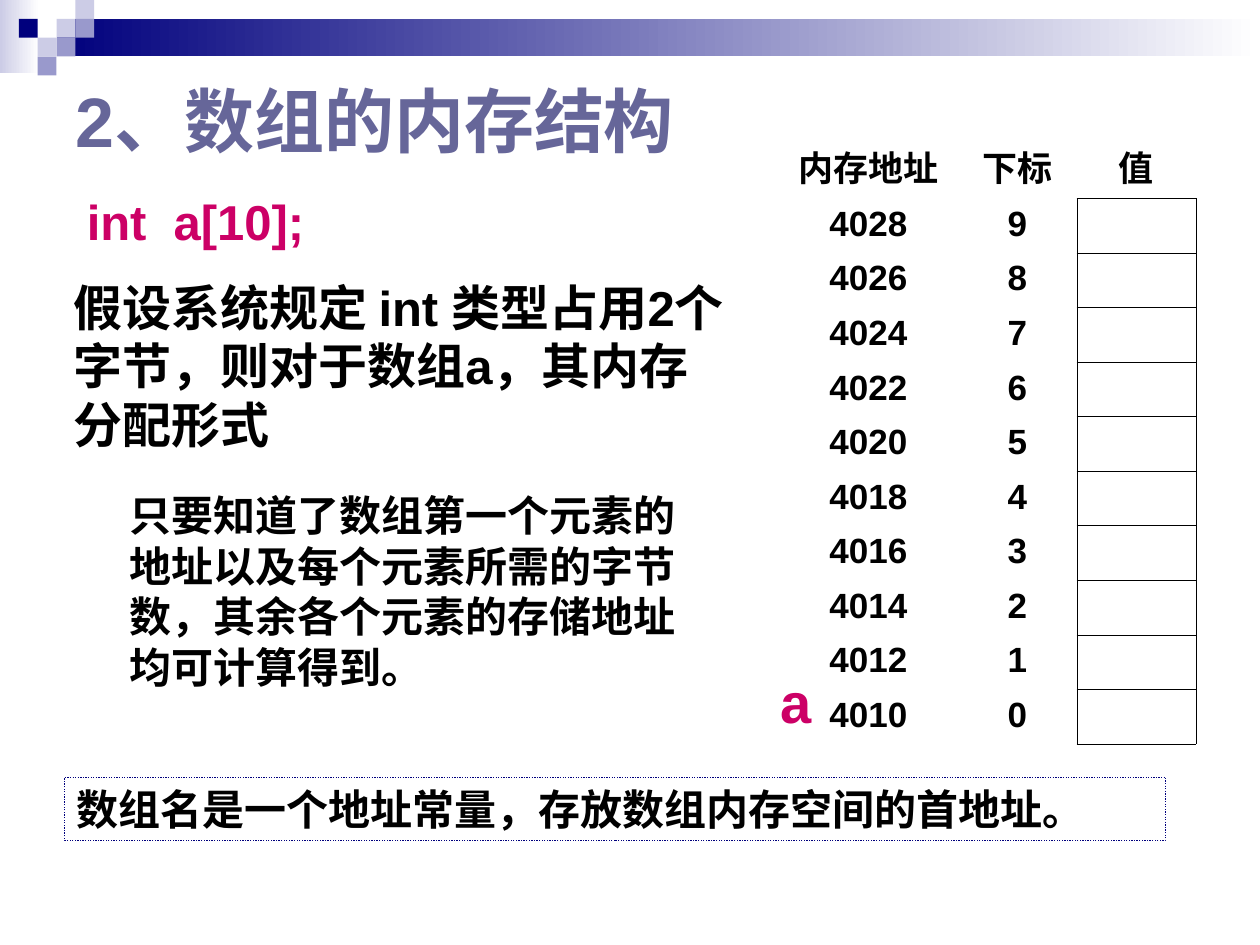
from lxml.etree import SubElement
from pptx import Presentation
from pptx.dml.color import RGBColor
from pptx.enum.dml import MSO_LINE_DASH_STYLE as Dash
from pptx.enum.shapes import MSO_SHAPE as Shape
from pptx.enum.text import MSO_ANCHOR as Anchor, MSO_AUTO_SIZE as AutoSize, PP_ALIGN as Align
from pptx.oxml.ns import qn
from pptx.util import Cm, Pt

NAVY, LAVENDER, PERIWINKLE = "00007D", "CCCCE6", "9999CC"
WHITE, BLACK, SLATE, PINK = "FFFFFF", "000000", "666699", "CC0066"
FONT = "Arial"
NO_STYLE = "{2D5ABB26-0587-4C30-8999-92F81FD0307C}"

TITLE = "2、数组的内存结构"
HEADERS = ["内存地址", "下标", "值"]
FIRST_ADDRESS, INT_BYTES, LENGTH = 4010, 2, 10
COLUMN_WIDTHS = [3.61, 2.4, 2.4]
ROW_HEIGHT = 1.1

GRADIENT_BARS = [
    ((0, 0, 0.79, 1.47), LAVENDER),
    ((1.14, 0.38, 24.26, 0.76), NAVY),
]
SQUARE = 0.38
SQUARES = [
    (3, 1, LAVENDER), (4, 0, LAVENDER), (4, 1, PERIWINKLE), (2, 2, LAVENDER),
    (1, 1, NAVY), (3, 2, PERIWINKLE), (2, 3, PERIWINKLE),
]
TEXTS = [
    ((15.49, 13.33, 1.14, 1.6), Anchor.TOP, 32, PINK, ["a"]),
    ((1.5, 3.73, 5.18, 1.45), Anchor.TOP, 28, PINK, ["int  a[10];"]),
    ((1.24, 5.46, 14.55, 3.81), Anchor.MIDDLE, 28, BLACK,
     ["假设系统规定 int 类型占用2个", "字节，则对于数组a，其内存", "分配形式"]),
    ((2.36, 9.75, 11.53, 4.32), Anchor.MIDDLE, 24, BLACK,
     ["只要知道了数组第一个元素的", "地址以及每个元素所需的字节",
      "数，其余各个元素的存储地址", "均可计算得到。"]),
]
CONCLUSION = "数组名是一个地址常量，存放数组内存空间的首地址。"


def color(value):
    return RGBColor.from_string(value)


def lengths(box):
    return [Cm(value) for value in box]


def write(frame, lines, size, ink, align=Align.LEFT):
    for index, line in enumerate(lines):
        paragraph = frame.add_paragraph() if index else frame.paragraphs[0]
        paragraph.alignment = align
        run = paragraph.add_run()
        run.text = line
        run.font.name = FONT
        run.font.size = Pt(size)
        run.font.bold = True
        run.font.color.rgb = color(ink)


def add_rectangle(slide, box):
    shape = slide.shapes.add_shape(Shape.RECTANGLE, *lengths(box))
    shape.shadow.inherit = False
    shape.line.fill.background()
    return shape


def add_decoration(slide):
    for box, start in GRADIENT_BARS:
        fill = add_rectangle(slide, box).fill
        fill.gradient()
        fill.gradient_angle = 0
        for stop, value in zip(fill.gradient_stops, (start, WHITE)):
            stop.color.rgb = color(value)
    for column, row, value in SQUARES:
        fill = add_rectangle(slide, (column * SQUARE, row * SQUARE, SQUARE, SQUARE)).fill
        fill.solid()
        fill.fore_color.rgb = color(value)


def add_borders(cell, sides):
    properties = cell._tc.get_or_add_tcPr()
    for index, side in enumerate(sides):
        line = SubElement(properties, qn(f"a:ln{side}"), w=str(Pt(0.45)))
        fill = SubElement(line, qn("a:solidFill"))
        SubElement(fill, qn("a:srgbClr"), val=BLACK)
        properties.insert(index, line)


def add_memory_table(slide):
    rows = [HEADERS] + [
        [str(FIRST_ADDRESS + INT_BYTES * index), str(index), ""]
        for index in reversed(range(LENGTH))
    ]
    box = (15.7, 2.72, sum(COLUMN_WIDTHS), ROW_HEIGHT * len(rows))
    table = slide.shapes.add_table(len(rows), len(HEADERS), *lengths(box)).table
    table.first_row = table.horz_banding = False
    table._tbl.tblPr.find(qn("a:tableStyleId")).text = NO_STYLE
    for column, width in zip(table.columns, COLUMN_WIDTHS):
        column.width = Cm(width)
    for row_index, values in enumerate(rows):
        table.rows[row_index].height = Cm(ROW_HEIGHT)
        for column_index, value in enumerate(values):
            cell = table.cell(row_index, column_index)
            cell.fill.background()
            if value:
                write(cell.text_frame, [value], 20, BLACK, Align.CENTER)
            if column_index == 2:
                add_borders(cell, "LRTB" if row_index else "B")
            elif column_index == 1 and row_index:
                add_borders(cell, "R")


def add_text(slide, box, anchor, size, ink, lines):
    frame = slide.shapes.add_textbox(*lengths(box)).text_frame
    frame.word_wrap = False
    frame.auto_size = AutoSize.SHAPE_TO_FIT_TEXT
    frame.vertical_anchor = anchor
    write(frame, lines, size, ink)


def add_conclusion(slide):
    shape = add_rectangle(slide, (1.3, 15.67, 22.2, 1.27))
    shape.fill.background()
    shape.line.color.rgb = color(NAVY)
    shape.line.width = Pt(0.75)
    shape.line.dash_style = Dash.ROUND_DOT
    frame = shape.text_frame
    frame.word_wrap = True
    frame.auto_size = AutoSize.SHAPE_TO_FIT_TEXT
    frame.vertical_anchor = Anchor.MIDDLE
    write(frame, [CONCLUSION], 24, BLACK)


def main():
    """Build the slide on how an array is laid out in memory."""
    presentation = Presentation()
    presentation.slide_width, presentation.slide_height = Cm(25.4), Cm(19.05)
    slide = presentation.slides.add_slide(presentation.slide_layouts[5])
    add_decoration(slide)
    title = slide.shapes.title
    title.left, title.top, title.width, title.height = lengths((1.27, 1.27, 22.86, 2.26))
    title.text_frame.auto_size = AutoSize.NONE
    title.text_frame.vertical_anchor = Anchor.MIDDLE
    write(title.text_frame, [TITLE], 40, SLATE)
    add_memory_table(slide)
    for text in TEXTS:
        add_text(slide, *text)
    add_conclusion(slide)
    presentation.save("out.pptx")


if __name__ == "__main__":
    main()
